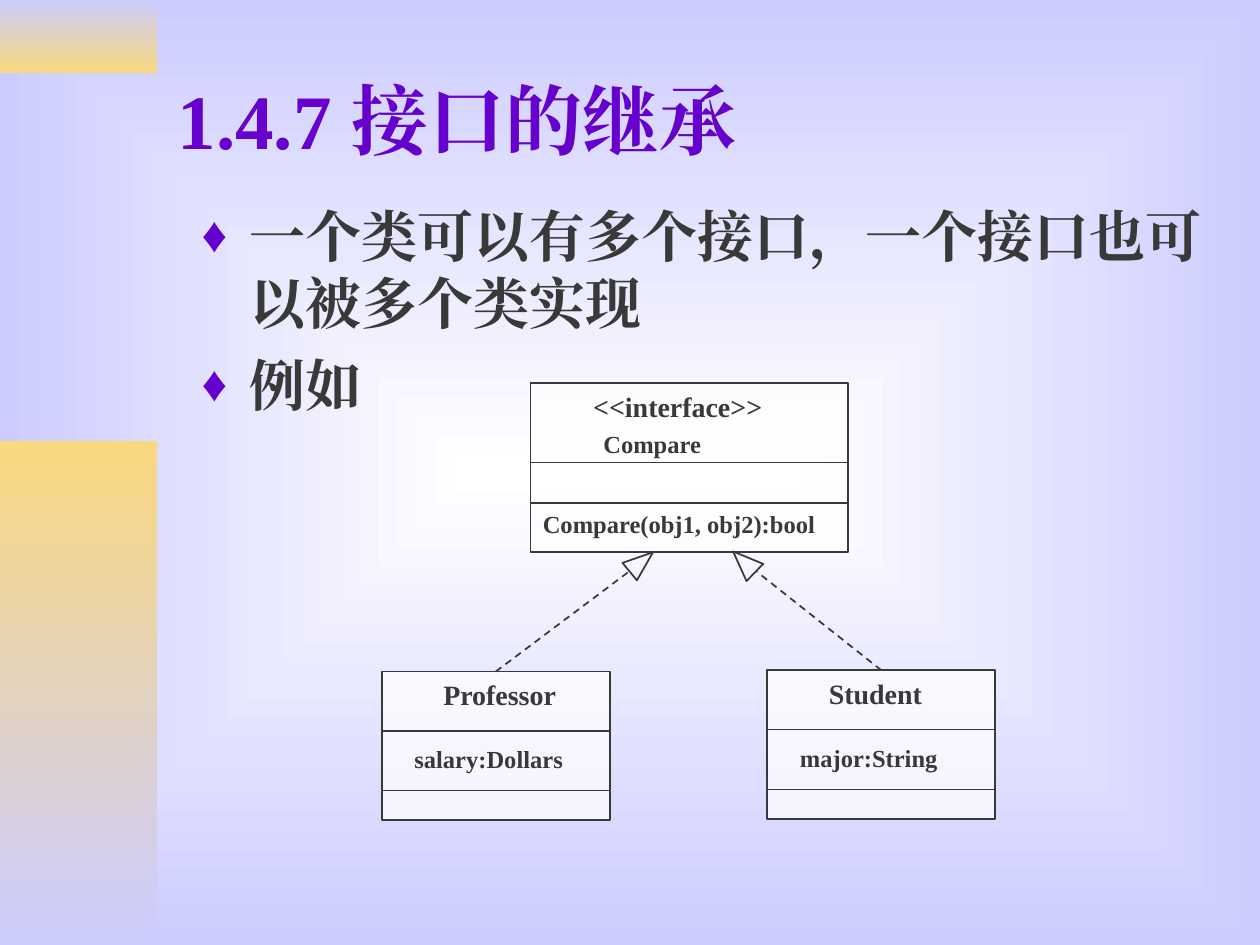
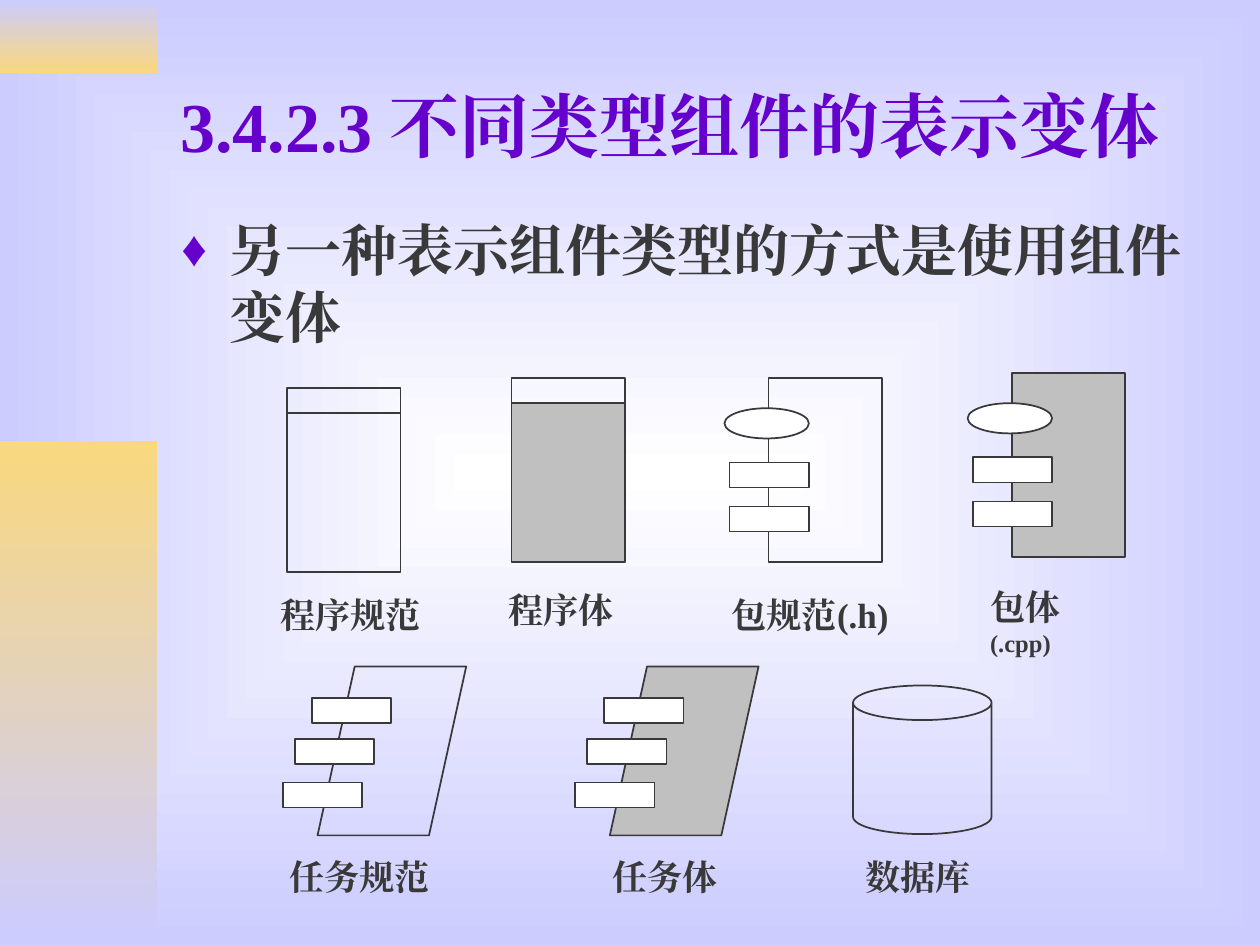
"""Two slides on UML: interface inheritance and component variants."""
from lxml import etree
from pptx import Presentation
from pptx import util as u
from pptx.dml.color import RGBColor
from pptx.enum import dml, lang, shapes, text
from pptx.oxml.ns import qn

FONT = "Times New Roman"
INK, PURPLE, WHITE, GREY = "393939", "6600CC", "FFFFFF", "C0C0C0"
LAVENDER, GOLD = "CCCCFF", "F9D87E"
COLS, ROWS = 100, 75
KIND = shapes.MSO_SHAPE


def rgb(fmt, value):
    fmt.rgb = RGBColor.from_string(value)


def sub(parent, tag, **attrs):
    return etree.SubElement(parent, qn(tag), attrs)


class Deck:
    def __init__(self):
        self.prs = Presentation()
        self.prs.slide_width, self.prs.slide_height = u.Inches(10), u.Inches(7.5)
        self.cell = self.prs.slide_width / COLS
        self.banded = False
        self.backdrop()

    def grid(self, *lengths):
        return [round(n * self.cell) for n in lengths]

    def gradient(self, fill, first, last):
        fill.gradient()
        for stop, value in zip(fill.gradient_stops, (first, last)):
            rgb(stop.color, value)

    def backdrop(self):
        master = self.prs.slide_master
        self.gradient(master.background.fill, WHITE, LAVENDER)
        grad = master.element.find(".//" + qn("a:gradFill"))
        grad.remove(grad.find(qn("a:lin")))
        path = sub(grad, "a:path", path="rect")
        sub(path, "a:fillToRect", **dict.fromkeys("ltrb", "50000"))

    def bands(self):
        tree = self.prs.slide_master.shapes.element
        rows = [(0, 5.8, LAVENDER, GOLD), (35, ROWS - 35, GOLD, LAVENDER)]
        for i, (top, height, first, last) in enumerate(rows):
            sp = self.shape(KIND.RECTANGLE, 0, top, 12.5, height)
            self.gradient(sp.fill, first, last)
            sp.fill.gradient_angle = 270
            sp.line.fill.background()
            sp.element.nvSpPr.cNvPr.set("id", str(20 + i))
            tree.insert(2 + i, sp.element)
        self.banded = True

    def slide(self):
        self.s = self.prs.slides.add_slide(self.prs.slide_layouts[1])
        self.shapes = self.s.shapes
        if not self.banded:
            self.bands()

    def group(self):
        self.shapes = self.s.shapes.add_group_shape().shapes

    def ungroup(self):
        self.shapes = self.s.shapes

    def run(self, p, words, size, color=INK):
        r = p.add_run()
        r.text = words
        r.font.name, r.font.size, r.font.bold = FONT, u.Pt(size), True
        r.font.language_id = lang.MSO_LANGUAGE_ID.SIMPLIFIED_CHINESE
        rgb(r.font.color, color)
        sub(r.font._element, "a:ea", typeface=FONT)

    def place(self, sp, box):
        sp.left, sp.top, sp.width, sp.height = self.grid(*box)
        tf = sp.text_frame
        tf.word_wrap, tf.auto_size = True, text.MSO_AUTO_SIZE.NONE
        return tf

    def title(self, words, size, *box):
        tf = self.place(self.s.shapes.title, box)
        tf.vertical_anchor = text.MSO_ANCHOR.MIDDLE
        p = tf.paragraphs[0]
        p.alignment = text.PP_ALIGN.LEFT
        self.run(p, words, size, PURPLE)

    def bullets(self, items, *box):
        tf = self.place(self.s.placeholders[1], box)
        for i, words in enumerate(items):
            p = tf.add_paragraph() if i else tf.paragraphs[0]
            p.space_before = u.Pt(8 if i else 0)
            pPr = p._p.get_or_add_pPr()
            pPr.set("marL", str(u.Inches(0.38)))
            pPr.set("indent", str(-u.Inches(0.38)))
            sub(sub(pPr, "a:buClr"), "a:srgbClr", val=PURPLE)
            sub(pPr, "a:buSzPct", val="90000")
            sub(pPr, "a:buChar", char="♦")
            self.run(p, words, 32)

    def label(self, words, size, x, y, w, h=4.4, second=None):
        tf = self.place(self.shapes.add_textbox(0, 0, 0, 0), (x, y, w, h))
        p = tf.paragraphs[0]
        self.run(p, words, size)
        if second:
            p.add_line_break()
            self.run(p, second, 14)

    def shape(self, kind, x, y, w, h, fill=None, alpha=None, turn=0):
        sp = self.shapes.add_shape(kind, *self.grid(x, y, w, h))
        sp.shadow.inherit, sp.rotation = False, turn
        rgb(sp.line.color, INK)
        sp.line.width = u.Pt(1)
        if fill:
            sp.fill.solid()
            rgb(sp.fill.fore_color, fill)
        else:
            sp.fill.background()
        if alpha:
            clr = sp.element.spPr.find(qn("a:solidFill"))[0]
            sub(clr, "a:alpha", val=str(alpha * 1000))
        return sp

    def line(self, x1, y1, x2, y2, dash=False, start=None):
        ln = self.shapes.add_connector(shapes.MSO_CONNECTOR.STRAIGHT,
                                       *self.grid(x1, y1, x2, y2))
        rgb(ln.line.color, INK)
        ln.line.width = u.Pt(1)
        if dash:
            ln.line.dash_style = dml.MSO_LINE.DASH
        sub(ln._element.spPr, "a:effectLst")
        if start:
            ln.begin_connect(start, 0)

    def uml_class(self, x, y, w, h, dividers):
        sp = self.shape(KIND.RECTANGLE, x, y, w, h, WHITE, 73)
        for dy in dividers:
            self.line(x, y + dy, x + w, y + dy)
        return sp

    def subclass(self, x, y, name, field):
        sp = self.uml_class(x, y, 18.1, 11.8, (4.7, 9.45))
        self.label(name, 16, x + 3.9, y, 11.8, 3.7)
        self.label(field, 14, x + 1.6, y + 5.3, 14.9, 3.4)
        return sp

    def tab(self, x, y):
        self.shape(KIND.RECTANGLE, x, y, 6.3, 2, WHITE)

    def program(self, x, y, fill=None):
        self.group()
        self.shape(KIND.RECTANGLE, x, y, 9, 2)
        self.shape(KIND.RECTANGLE, x, y + 2, 9, 12.6, fill)

    def package_icon(self, x, y, fill=None):
        self.group()
        self.shape(KIND.RECTANGLE, x, y, 9, 14.6, fill)
        self.shape(KIND.OVAL, x - 3.5, y + 2.4, 6.7, 2.4, WHITE)
        for dy in (6.7, 10.2):
            self.tab(x - 3.1, y + dy)

    def task(self, x, y, fill=None):
        self.group()
        self.shape(KIND.PARALLELOGRAM, x, y, 11.8, 13.4, fill)
        for dx, dy in ((0.45, 2.5), (1.8, 5.75), (2.75, 9.2)):
            self.tab(x - dx, y + dy)


def interface_slide(d):
    d.slide()
    d.title("1.4.7 接口的继承", 44, 13.1, 2.8, 86.9, 13.2)
    d.bullets(["一个类可以有多个接口，一个接口也可以被多个类实现", "例如"],
              15, 15.5, 82.3, 19.7)
    d.group()
    d.uml_class(42.1, 30.4, 25.2, 13.4, (6.3, 9.5))
    d.label("<<interface>>", 16, 46.1, 30.4, 15.7, 3.7)
    d.label("Compare", 14, 46.9, 33.6, 16.5, 3.4)
    d.label("Compare(obj1, obj2):bool", 14, 42.1, 39.9, 23.6, 5.7)
    professor = d.subclass(30.3, 53.3, "Professor", "salary:Dollars")
    student = d.subclass(60.9, 53.2, "Student", "major:String")
    d.shape(KIND.FLOWCHART_EXTRACT, 50, 43.4, 1.8, 2.4, turn=50.3)
    d.shape(KIND.FLOWCHART_EXTRACT, 58.1, 43.4, 1.9, 2.4, turn=314.1)
    d.line(39, 53.1, 50, 45.3, True, professor)
    d.line(70.3, 53.2, 60.1, 45.4, True, student)


def component_slide(d):
    d.slide()
    d.title("3.4.2.3 不同类型组件的表示变体", 40, 13.3, 3.3, 85, 13.2)
    d.bullets(["另一种表示组件类型的方式是使用组件变体"], 13.4, 16.6, 85, 12.5)
    d.program(22.8, 30.8)
    d.program(40.6, 30, GREY)
    d.package_icon(61, 30)
    d.package_icon(80.3, 29.6, GREY)
    d.task(25.2, 52.9)
    d.task(48.4, 52.9, GREY)
    d.ungroup()
    d.shape(KIND.CAN, 67.7, 54.4, 11, 11.8)
    for words, x, y, w in (("程序规范", 21.3, 46.6, 14.6), ("程序体", 39.4, 46.2, 11.4),
                           ("包规范(.h)", 57.1, 46.6, 15.8), ("任务规范", 22, 67.4, 14.6),
                           ("任务体", 47.6, 67.4, 11), ("数据库", 67.7, 67.4, 11)):
        d.label(words, 20, x, y, w)
    d.label("包体", 20, 77.6, 46, 13, 6.7, "(.cpp)")


def main():
    d = Deck()
    interface_slide(d)
    component_slide(d)
    d.prs.save("out.pptx")


if __name__ == "__main__":
    main()
